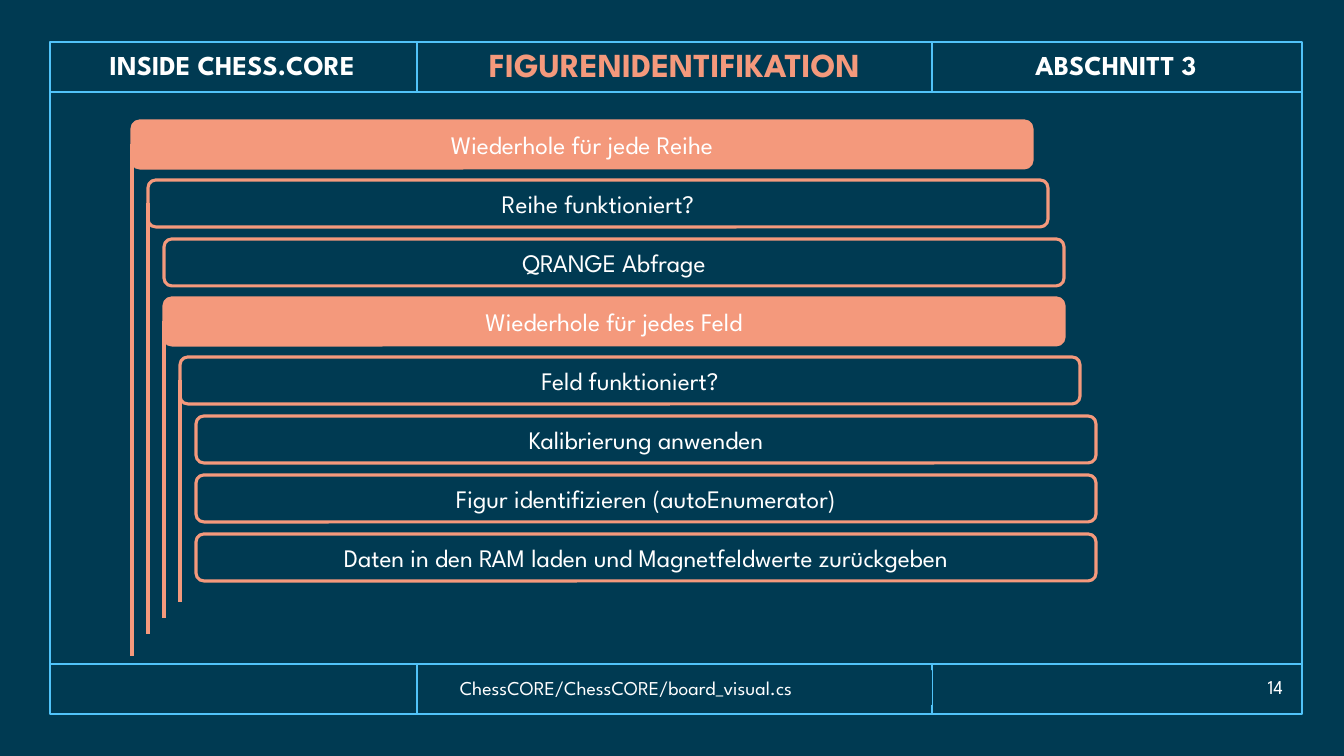
from lxml.etree import SubElement
from pptx import Presentation
from pptx.dml.color import RGBColor
from pptx.enum.shapes import MSO_CONNECTOR, MSO_SHAPE
from pptx.enum.text import MSO_ANCHOR as Anchor, PP_ALIGN as Align
from pptx.oxml.ns import qn
from pptx.util import Emu, Pt

PX_PER_INCH = 100.8
NAVY, SKY, CORAL, WHITE = "003A52", "51C3F9", "F4997C", "FFFFFF"

# Frame edges and column dividers
LEFT, TOP, RIGHT, BOTTOM = 50, 42, 1302, 714
HEADER_END, FOOTER_START = 92, 664
DIVIDERS = (417, 932)

# Program steps: label, nesting depth, end of the loop bracket
STEPS = (
    ("Wiederhole für jede Reihe", 0, 656),
    ("Reihe funktioniert?", 1, 634),
    ("QRANGE Abfrage", 2, None),
    ("Wiederhole für jedes Feld", 2, 618),
    ("Feld funktioniert?", 3, 602),
    ("Kalibrierung anwenden", 4, None),
    ("Figur identifizieren (autoEnumerator)", 4, None),
    ("Daten in den RAM laden und Magnetfeldwerte zurückgeben", 4, None),
)
STEP_LEFT, STEP_TOP, STEP_WIDTH, STEP_HEIGHT = 132, 121, 900, 47
INDENT, STEP_PITCH = 16, 59


def px(length):
    return Emu(round(length * 914400 / PX_PER_INCH))


def color(hex_value):
    return RGBColor.from_string(hex_value)


def write(holder, text, size, hue=WHITE, bold=False, align=Align.CENTER,
          anchor=Anchor.MIDDLE, spacing=None):
    frame = holder.text_frame
    frame.word_wrap = True
    frame.vertical_anchor = anchor
    paragraph = frame.paragraphs[0]
    paragraph.alignment = align
    paragraph.line_spacing = spacing
    run = paragraph.add_run()
    run.text = text
    font_format = {"name": "League Spartan", "size": Pt(size), "bold": bold}
    for attribute, value in font_format.items():
        setattr(run.font, attribute, value)
    run.font.color.rgb = color(hue)


def add_label(slide, box, text, size, **style):
    label = slide.shapes.add_textbox(*map(px, box))
    write(label, text, size, **style)


def add_panel(slide, kind, box, outline, weight, fill=None):
    panel = slide.shapes.add_shape(kind, *map(px, box))
    panel.shadow.inherit = False
    if fill:
        panel.fill.solid()
        panel.fill.fore_color.rgb = color(fill)
    else:
        panel.fill.background()
    panel.line.color.rgb = color(outline)
    panel.line.width = Pt(weight)
    return panel


def add_rule(slide, start, end, hue, weight):
    rule = slide.shapes.add_connector(MSO_CONNECTOR.STRAIGHT,
                                      *map(px, start + end))
    rule.line.color.rgb = color(hue)
    rule.line.width = Pt(weight)
    SubElement(rule._element.spPr, qn("a:effectLst"))


def add_frame(slide):
    add_panel(slide, MSO_SHAPE.RECTANGLE,
              (LEFT, TOP, RIGHT - LEFT, BOTTOM - TOP), SKY, 1)
    for y in (HEADER_END, FOOTER_START):
        add_rule(slide, (LEFT, y), (RIGHT, y), SKY, 1)
    for x in DIVIDERS:
        add_rule(slide, (x, TOP), (x, HEADER_END), SKY, 1)
        add_rule(slide, (x, FOOTER_START), (x, BOTTOM), SKY, 1)


def add_header(slide):
    edges = (LEFT - 2, *DIVIDERS, RIGHT - 2)
    titles = (("INSIDE CHESS.CORE", 19.5, WHITE),
              ("FIGURENIDENTIFIKATION", 24, CORAL),
              ("ABSCHNITT 3", 19.5, WHITE))
    for (text, size, hue), start, end in zip(titles, edges, edges[1:]):
        add_label(slide, (start, TOP, end - start, HEADER_END - TOP), text,
                  size, hue=hue, bold=True, spacing=0.9)


def add_steps(slide):
    for row, (text, depth, bracket_end) in enumerate(STEPS):
        x = STEP_LEFT + INDENT * depth
        y = STEP_TOP + STEP_PITCH * row
        is_loop = text.startswith("Wiederhole")
        step = add_panel(slide, MSO_SHAPE.ROUNDED_RECTANGLE,
                         (x, y, STEP_WIDTH, STEP_HEIGHT), CORAL, 2.25,
                         CORAL if is_loop else NAVY)
        write(step, text, 18)
        if bracket_end:
            add_rule(slide, (x, y + STEP_HEIGHT // 2), (x, bracket_end),
                     CORAL, 2.25)


def add_footer(slide):
    source_file = add_panel(slide, MSO_SHAPE.RECTANGLE, (450, 671, 482, 34),
                            NAVY, 0.75)
    write(source_file, "ChessCORE/ChessCORE/board_visual.cs", 14,
          align=Align.LEFT, anchor=Anchor.TOP)
    add_label(slide, (1200, 672, 93, 30), "14", 14, align=Align.RIGHT)


def main():
    deck = Presentation()
    deck.slide_width, deck.slide_height = px(1344), px(756)
    slide = deck.slides.add_slide(deck.slide_layouts[6])
    slide.background.fill.solid()
    slide.background.fill.fore_color.rgb = color(NAVY)
    add_frame(slide)
    add_header(slide)
    add_steps(slide)
    add_footer(slide)
    deck.save("out.pptx")


if __name__ == "__main__":
    main()
